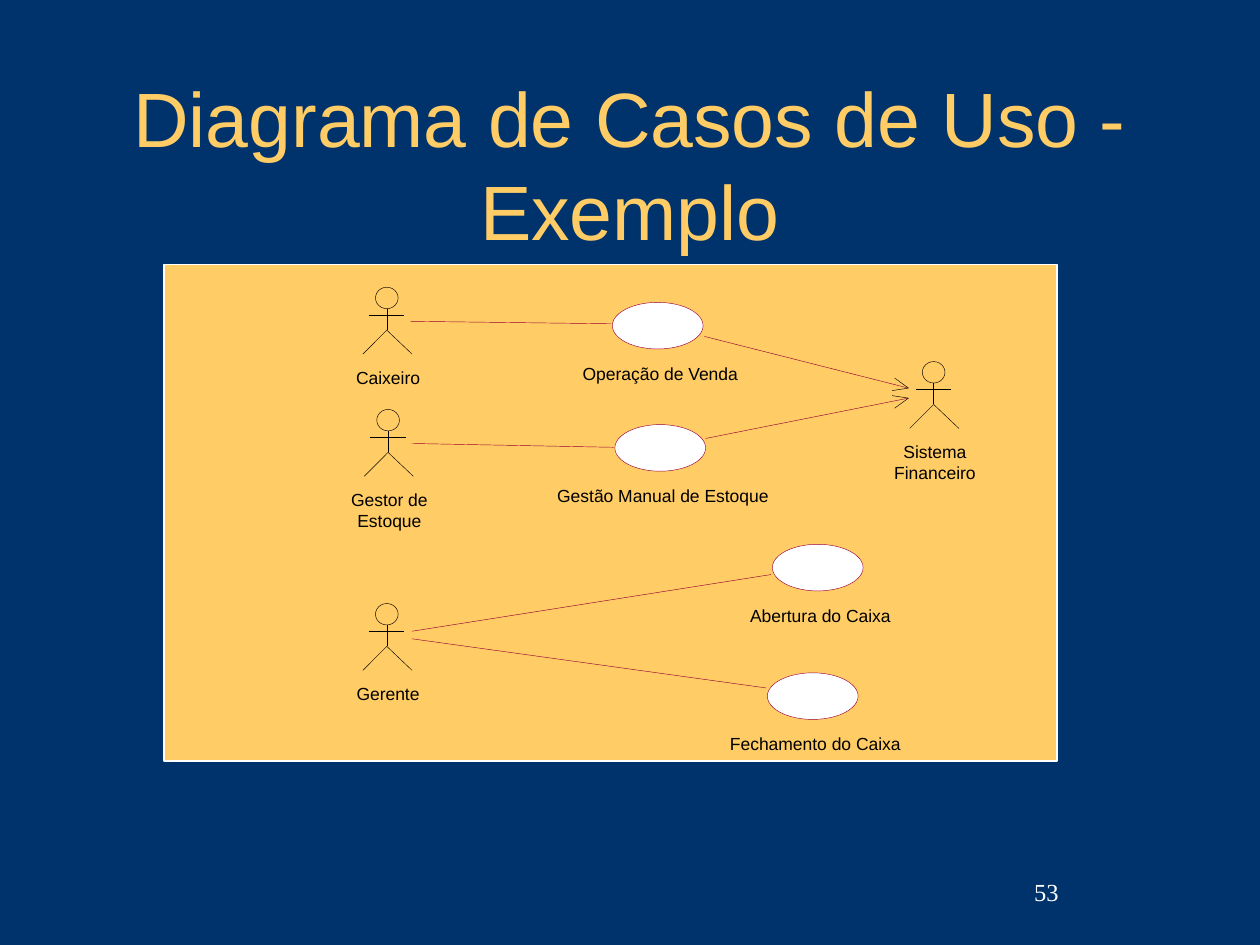
from lxml.etree import SubElement
from pptx import Presentation
from pptx.dml.color import RGBColor
from pptx.enum.shapes import MSO_CONNECTOR as Link, MSO_SHAPE as Shape
from pptx.enum.text import MSO_ANCHOR as Anchor, MSO_AUTO_SIZE as AutoSize, PP_ALIGN as Align
from pptx.oxml.ns import qn
from pptx.util import Inches, Pt

COLORS = {"navy": "00336B", "gold": "FFCC66", "white": "FFFFFF", "black": "000000", "wine": "990033"}
LINE_HEIGHT = 0.17
ACTORS = [
    (2.88, 2.28, [("Caixeiro", 0.51)]),
    (2.89, 3.25, [("Gestor de", 0.61), ("Estoque", 0.51)]),
    (2.88, 4.79, [("Gerente", 0.5)]),
    (7.22, 2.87, [("Sistema", 0.51), ("Financeiro", 0.65)]),
]
USE_CASES = [
    (4.86, 2.4, "Operação de Venda", 1.24),
    (4.88, 3.37, "Gestão Manual de Estoque", 1.68),
    (6.13, 4.32, "Abertura do Caixa", 1.12),
    (6.09, 5.34, "Fechamento do Caixa", 1.35),
]
ASSOCIATIONS = [
    ((3.26, 2.55), (4.85, 2.57)),
    ((3.27, 3.52), (4.87, 3.55)),
    ((3.27, 5.01), (6.12, 4.56)),
    ((3.27, 5.07), (6.08, 5.46)),
    ((5.59, 2.67), (7.21, 3.08)),
    ((5.6, 3.48), (7.21, 3.16)),
]
ARROW_BARBS = [
    ((7.21, 3.08), [(7.1, 3), (7.08, 3.1)]),
    ((7.21, 3.16), [(7.1, 3.24), (7.08, 3.14)]),
]


def color(name):
    """Return the named colour."""
    return RGBColor.from_string(COLORS[name])


def write(box, text, size=10, font="Arial", ink="black", align=Align.CENTER,
          anchor=Anchor.TOP, margins=(0, 0), wrap=False):
    """Put formatted text in a box."""
    frame = box.text_frame
    frame.auto_size = AutoSize.NONE
    frame.word_wrap = wrap
    frame.vertical_anchor = anchor
    frame.margin_left = frame.margin_right = Inches(margins[0])
    frame.margin_top = frame.margin_bottom = Inches(margins[1])
    para = frame.paragraphs[0]
    para.alignment = align
    span = para.add_run()
    span.text = text
    span.font.size = Pt(size)
    span.font.name = font
    span.font.color.rgb = color(ink)


def style(shape, fill=None, line="black", weight=0.25):
    """Give a shape its fill and outline without a shadow."""
    shape.shadow.inherit = False
    if fill:
        shape.fill.solid()
        shape.fill.fore_color.rgb = color(fill)
    else:
        shape.fill.background()
    shape.line.color.rgb = color(line)
    shape.line.width = Pt(weight)


def add_shape(shapes, kind, left, top, width, height, **look):
    """Add a styled preset shape."""
    shape = shapes.add_shape(kind, Inches(left), Inches(top), Inches(width), Inches(height))
    style(shape, **look)


def add_line(shapes, start, end, ink="black"):
    """Add a thin straight line."""
    line = shapes.add_connector(Link.STRAIGHT, *map(Inches, (*start, *end)))
    line.line.color.rgb = color(ink)
    line.line.width = Pt(0.25)
    SubElement(line._element.spPr, qn("a:effectLst"))


def add_label(page, center, top, text, width):
    """Add a one-line label centred on a position."""
    box = page.shapes.add_textbox(Inches(center - width / 2), Inches(top),
                                  Inches(width), Inches(LINE_HEIGHT))
    write(box, text)


def add_actor(page, left, top, lines):
    """Add a stick figure with its name below."""
    center, hip, foot = left + 0.19, top + 0.34, top + 0.53
    figure = page.shapes.add_group_shape().shapes
    add_shape(figure, Shape.OVAL, left + 0.1, top, 0.18, 0.17)
    add_line(figure, (center, top + 0.17), (center, hip))
    add_line(figure, (left + 0.05, top + 0.22), (left + 0.33, top + 0.22))
    legs = figure.build_freeform(Inches(left), Inches(foot))
    legs.add_line_segments([(Inches(center), Inches(hip)),
                            (Inches(left + 0.39), Inches(foot))], close=False)
    style(legs.convert_to_shape())
    for row, (text, width) in enumerate(lines):
        add_label(page, center + 0.01, top + 0.63 + row * LINE_HEIGHT, text, width)


def add_use_case(page, left, top, text, width):
    """Add a use case ellipse with its name below."""
    add_shape(page.shapes, Shape.OVAL, left, top, 0.72, 0.37, fill="white", line="wine")
    add_label(page, left + 0.38, top + 0.48, text, width)


def add_diagram(page, left, top, width, height):
    """Add the panel with its actors, use cases and associations."""
    add_shape(page.shapes, Shape.RECTANGLE, left, top, width, height,
              fill="gold", line="white", weight=1)
    for actor in ACTORS:
        add_actor(page, *actor)
    for use_case in USE_CASES:
        add_use_case(page, *use_case)
    for start, end in ASSOCIATIONS:
        add_line(page.shapes, start, end, ink="wine")
    for tip, ends in ARROW_BARBS:
        for end in ends:
            add_line(page.shapes, tip, end)


def add_title(page, left, top, width, height):
    """Place and fill the title placeholder."""
    title = page.shapes.title
    title.left, title.top, title.width, title.height = map(Inches, (left, top, width, height))
    write(title, "Diagrama de Casos de Uso - Exemplo", size=44, ink="gold",
          anchor=Anchor.MIDDLE, margins=(0.1, 0.05), wrap=True)


def add_page_number(page, left, top, width, height):
    """Add the page number."""
    box = page.shapes.add_textbox(*map(Inches, (left, top, width, height)))
    write(box, "53", size=14, font="Times New Roman", ink="white", align=Align.RIGHT,
          anchor=Anchor.MIDDLE, margins=(0.1, 0.05), wrap=True)


def main():
    """Build and save the deck."""
    deck = Presentation()
    deck.slide_width, deck.slide_height = Inches(10), Inches(7.5)
    page = deck.slides.add_slide(deck.slide_layouts[5])
    page.background.fill.solid()
    page.background.fill.fore_color.rgb = color("navy")
    add_title(page, 0.75, 0.67, 8.5, 1.25)
    add_diagram(page, 1.3, 2.1, 7.09, 3.94)
    add_page_number(page, 6.42, 6.83, 2.08, 0.5)
    deck.save("out.pptx")


if __name__ == "__main__":
    main()
